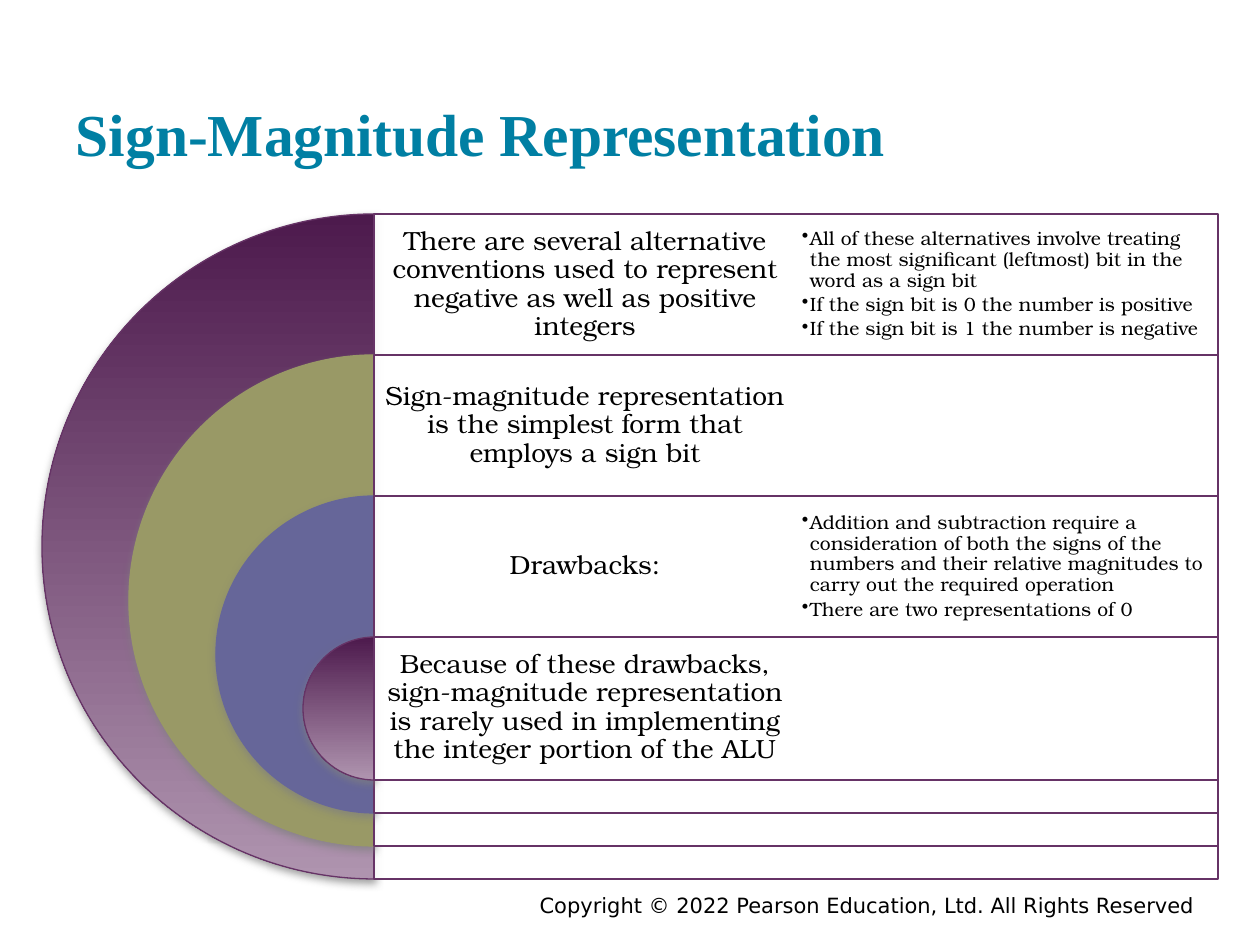
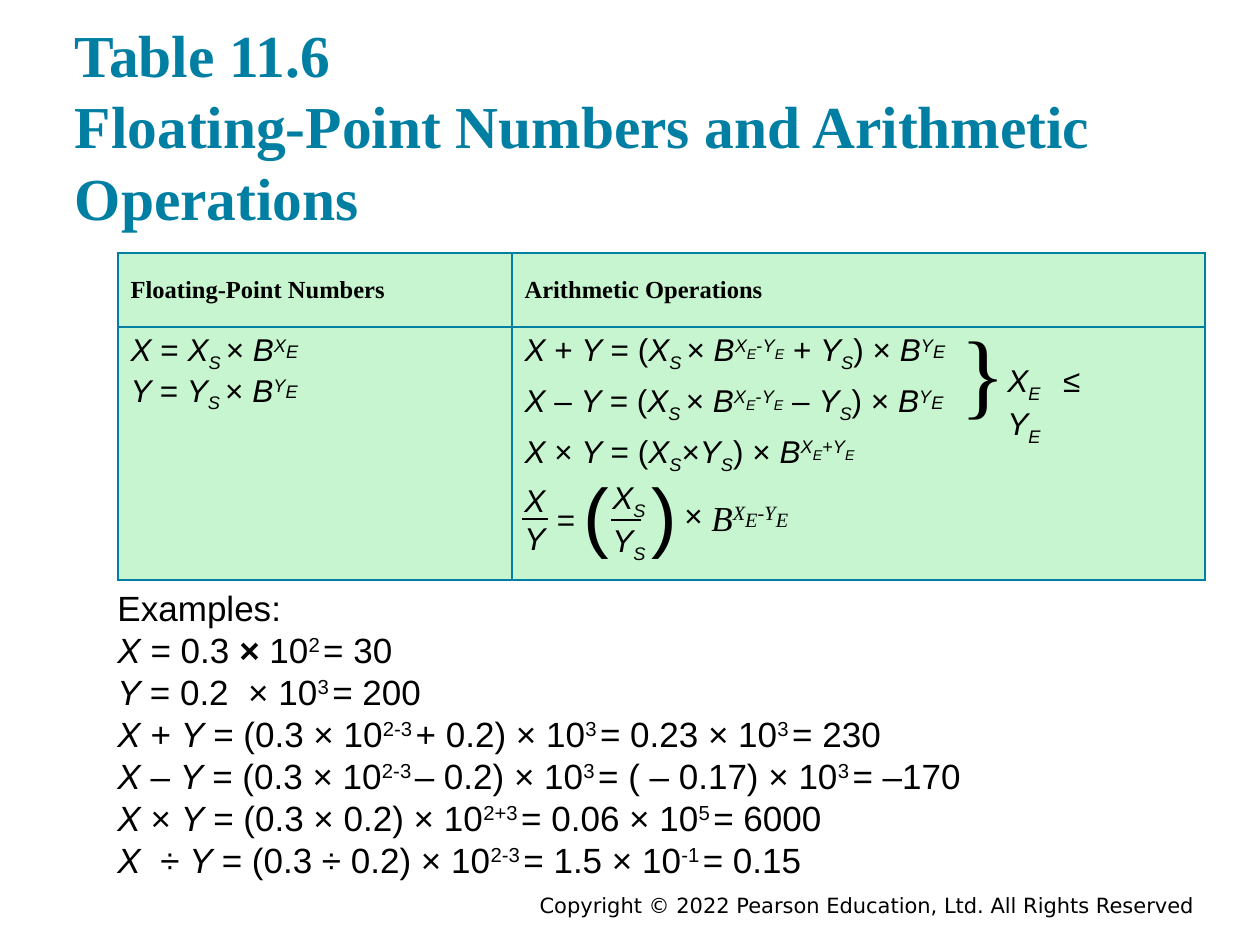
from pptx import Presentation
from pptx import util as u
from pptx.dml.color import RGBColor
from pptx.enum import shapes, text
from pptx.oxml import parse_xml
from pptx.oxml.ns import nsdecls, qn
from lxml import etree


class Theme:
    # colours
    teal, mint = "007FA3", "C6F5CF"
    plum, dark, pale = "663366", "4D1A4D", "AF94AF"
    olive, slate = "999966", "666699"
    black, white, gray = "000000", "FFFFFF", "808080"
    # fonts
    serif, sans, note, book = "Times New Roman", "Arial", "DejaVu Sans", "TeX Gyre Bonum"
    # type sizes
    title, foot, lead, item = 34, 12, 15, 11
    head, math, power, demo, brace, paren = 14, 18, 20, 20, 54, 44


PX = 914400 / 126
MID, TOP = text.MSO_ANCHOR.MIDDLE, text.MSO_ANCHOR.TOP
LEFT, CENTER, RIGHT = text.PP_ALIGN.LEFT, text.PP_ALIGN.CENTER, text.PP_ALIGN.RIGHT
rgb = RGBColor.from_string

# Marks inside a line: baseline percent and size factor; / toggles italic, * bold
BASE = {"|": (0, 1), "_": (-25, 1), "^": (30, 1), "~": (10, 1), "<": (10, 0.78), "!": (0, 0.35)}


def px(*vals):
    return [u.Emu(round(v * PX)) for v in vals]


def write(frame, words, size=Theme.math, font=Theme.sans, color=Theme.black, bold=False,
          align=LEFT, anchor=TOP, wrap=True, inset=None, gap=0, lines=None, bullet=False):
    """Fill a text frame or a table cell; each line of words is a paragraph."""
    frame.vertical_anchor = anchor
    body = getattr(frame, "text_frame", frame)
    body.word_wrap = wrap
    if inset:
        side, edge = px(*inset)
        frame.margin_left = frame.margin_right = side
        frame.margin_top = frame.margin_bottom = edge
    for i, line in enumerate(words.split("\n")):
        para = body.add_paragraph() if i else body.paragraphs[0]
        para.alignment = align
        if i and gap:
            para.space_before = u.Pt(gap)
        if lines:
            para.line_spacing = lines
        if bullet:
            para.level = 1
            prop = para._p.get_or_add_pPr()
            prop.set("marL", str(px(8)[0]))
            prop.set("indent", str(px(-8)[0]))
            etree.SubElement(prop, qn("a:buChar")).set("char", "•")
        for mark in [*BASE, "/", "*", "\v"]:
            line = line.replace(mark, "\0" + mark)
        thick, slant, base, scale = bold, False, 0, 1
        for part in line.split("\0"):
            mark = part[:1]
            if mark in BASE:
                base, scale = BASE[mark]
            elif mark == "/":
                slant = not slant
            elif mark == "*":
                thick = not thick
            elif mark == "\v":
                para.add_line_break()
            else:
                mark = ""
            if part == mark:
                continue
            run = para.add_run()
            run.text = part[len(mark):]
            run.font.name, run.font.size = font, u.Pt(round(size * scale))
            run.font.bold, run.font.italic = thick, slant
            run.font.color.rgb = rgb(color)
            if base:
                run._r.get_or_add_rPr().set("baseline", str(base * 1000))


deck = Presentation()
deck.slide_width, deck.slide_height = px(1260, 945)

# Slides with the shared title and footer
pages = []
for name, spot in [
    ("Sign-Magnitude Representation", (63, 30, 1134, 151)),
    ("Table 11.6 \vFloating-Point Numbers and Arithmetic Operations", (62, 19, 1134, 226)),
]:
    page = deck.slides.add_slide(deck.slide_layouts[6])
    foot = page.shapes.add_textbox(*px(220, 886, 987, 28))
    write(foot.text_frame, "Copyright © 2022 Pearson Education, Ltd. All Rights Reserved",
          size=Theme.foot, font=Theme.note, align=RIGHT)
    title = page.shapes.add_textbox(*px(*spot))
    write(title.text_frame, name, size=Theme.title, font=Theme.serif, color=Theme.teal,
          bold=True, anchor=text.MSO_ANCHOR.BOTTOM, inset=(13, 13))
    pages.append(page)
first, second = pages

# Slide 1: nested half discs, each with a row of text
rings = [
    (None, Theme.plum,
     "There are several alternative conventions used to represent negative as well as positive integers",
     "All of these alternatives involve treating the most significant (leftmost) bit in the word as a sign bit\n"
     "If the sign bit is 0 the number is positive\n"
     "If the sign bit is 1 the number is negative"),
    (Theme.olive, Theme.olive,
     "Sign-magnitude representation is the simplest form that employs a sign bit", ""),
    (Theme.slate, Theme.slate, "Drawbacks:",
     "Addition and subtraction require a consideration of both the signs of the numbers "
     "and their relative magnitudes to carry out the required operation\n"
     "There are two representations of 0"),
    (None, Theme.plum,
     "Because of these drawbacks, sign-magnitude representation is rarely used in "
     "implementing the integer portion of the ALU", ""),
]
axis, wide, high = 374, 422, 141
for i, (fill, edge, lead, items) in enumerate(rings):
    top, size = 214 + high * i, 665 - 174 * i
    disc = first.shapes.add_shape(shapes.MSO_SHAPE.PIE, *px(axis - size // 2, top, size, size))
    disc.adjustments[0], disc.adjustments[1] = 54, 162
    if fill:
        disc.fill.solid()
        disc.fill.fore_color.rgb = rgb(fill)
    else:
        disc.fill.gradient()
        disc.fill.gradient_angle = 270
        for stop, tint, place in zip(disc.fill.gradient_stops, (Theme.dark, Theme.pale), (0, 1)):
            stop.color.rgb, stop.position = rgb(tint), place
    disc.line.color.rgb, disc.line.width = rgb(edge), u.Pt(0.75)
    disc.shadow.inherit = False
    disc._element.spPr.find(qn("a:effectLst")).append(parse_xml(
        f'<a:outerShdw {nsdecls("a")} blurRad="{u.Pt(5)}" dist="{u.Pt(2)}" dir="5400000" '
        f'rotWithShape="0"><a:srgbClr val="{Theme.gray}"><a:alpha val="75000"/></a:srgbClr>'
        '</a:outerShdw>'))

    pane = first.shapes.add_shape(shapes.MSO_SHAPE.RECTANGLE, *px(axis, top, 2 * wide, size))
    pane.shadow.inherit = False
    pane.fill.solid()
    pane.fill.fore_color.rgb = rgb(Theme.white)
    shade = pane._element.spPr.find(qn("a:solidFill"))[0]
    etree.SubElement(shade, qn("a:alpha")).set("val", "90000")
    pane.line.color.rgb, pane.line.width = rgb(Theme.plum), u.Pt(1)

    box = first.shapes.add_textbox(*px(axis, top, wide, high))
    write(box.text_frame, lead, size=Theme.lead, font=Theme.book, align=CENTER,
          anchor=MID, inset=(8, 8), lines=0.9)
    if items:
        box = first.shapes.add_textbox(*px(axis + wide, top, wide, high))
        write(box.text_frame, items, size=Theme.item, font=Theme.book, anchor=MID,
              inset=(6, 6), gap=2, lines=0.9, bullet=True)

# Slide 2: table of formulas
forms = "\n".join(f"/{n} /= /{n}_S /|× /B^{n}~E" for n in "XY")
sums = [f"/X /{s} /Y /= (/X_S /|× /B^X<E^/-/Y<E| /{s} /Y_S/|) × /B^Y~E" for s in "+–"]
rules = "\n".join(sums + ["/X /× /Y /= (/X_S/|×/Y_S/|) × /B^X<E^/+/Y<E"])
grid = second.shapes.add_table(2, 2, *px(118, 253, 1087, 327)).table
grid.first_row = grid.horz_banding = False
for line, span in zip([*grid.columns], px(394, 693)):
    line.width = span
for line, span in zip([*grid.rows], px(74, 253)):
    line.height = span
cells = ["Floating-Point Numbers", "Arithmetic Operations", forms, rules]
for i, (cell, words) in enumerate(zip(grid.iter_cells(), cells)):
    if i < 2:
        write(cell, words, size=Theme.head, font=Theme.serif, bold=True, anchor=MID)
    else:
        write(cell, words, gap=6 if i == 3 else 0)
    prop = cell._tc.get_or_add_tcPr()
    for side in "LRTB":
        prop.append(parse_xml(
            f'<a:ln{side} {nsdecls("a")} w="{u.Pt(1)}"><a:solidFill>'
            f'<a:srgbClr val="{Theme.teal}"/></a:solidFill></a:ln{side}>'))
    cell.fill.solid()
    cell.fill.fore_color.rgb = rgb(Theme.mint)

# Condition and quotient set over the table, then the examples below it
demo = "\n".join([
    "Examples:",
    "/X /= 0.3 *×* 10^2! |= 30",
    "/Y /= 0.2  × 10^3! |= 200",
    "/X /+ /Y /= (0.3 × 10^2-3! |+ 0.2) × 10^3! |= 0.23 × 10^3! |= 230",
    "/X /– /Y /= (0.3 × 10^2-3! |– 0.2) × 10^3! |= ( – 0.17) × 10^3! |= –170",
    "/X /× /Y /= (0.3 × 0.2) × 10^2+3! |= 0.06 × 10^5! |= 6000",
    "/X / ÷ /Y /= (0.3 ÷ 0.2) × 10^2-3! |= 1.5 × 10^-1! |= 0.15",
])
for spot, words, style in [
    ((948, 307, 68, 127), "}", dict(size=Theme.brace, font=Theme.serif, wrap=True)),
    ((995, 355, 139, 50), "/X_E | / ≤ /Y_E", {}),
    ((512, 475, 47, 89), "/X\n/Y", {}),
    ((600, 472, 60, 89), "/X_S\n/Y_S", {}),
    ((544, 494, 44, 50), "/=", {}),
    ((699, 490, 111, 55), "/B^X~E^-Y~E", dict(size=Theme.power, font=Theme.serif)),
    ((571, 460, 121, 106), "(  )", dict(size=Theme.paren)),
    ((672, 490, 43, 50), "×", {}),
    ((105, 580, 887, 310), demo, dict(size=Theme.demo)),
]:
    box = second.shapes.add_textbox(*px(*spot))
    write(box.text_frame, words, **{"wrap": False, **style})
    box.text_frame.auto_size = text.MSO_AUTO_SIZE.SHAPE_TO_FIT_TEXT

# Fraction bars
for left, right, y in [(522, 548, 519), (611, 641, 520)]:
    bar = second.shapes.add_connector(shapes.MSO_CONNECTOR.STRAIGHT, *px(left, y, right, y))
    bar.line.color.rgb, bar.line.width = rgb(Theme.black), u.Pt(1.5)
    etree.SubElement(bar._element.spPr, qn("a:effectLst"))

deck.save("out.pptx")
